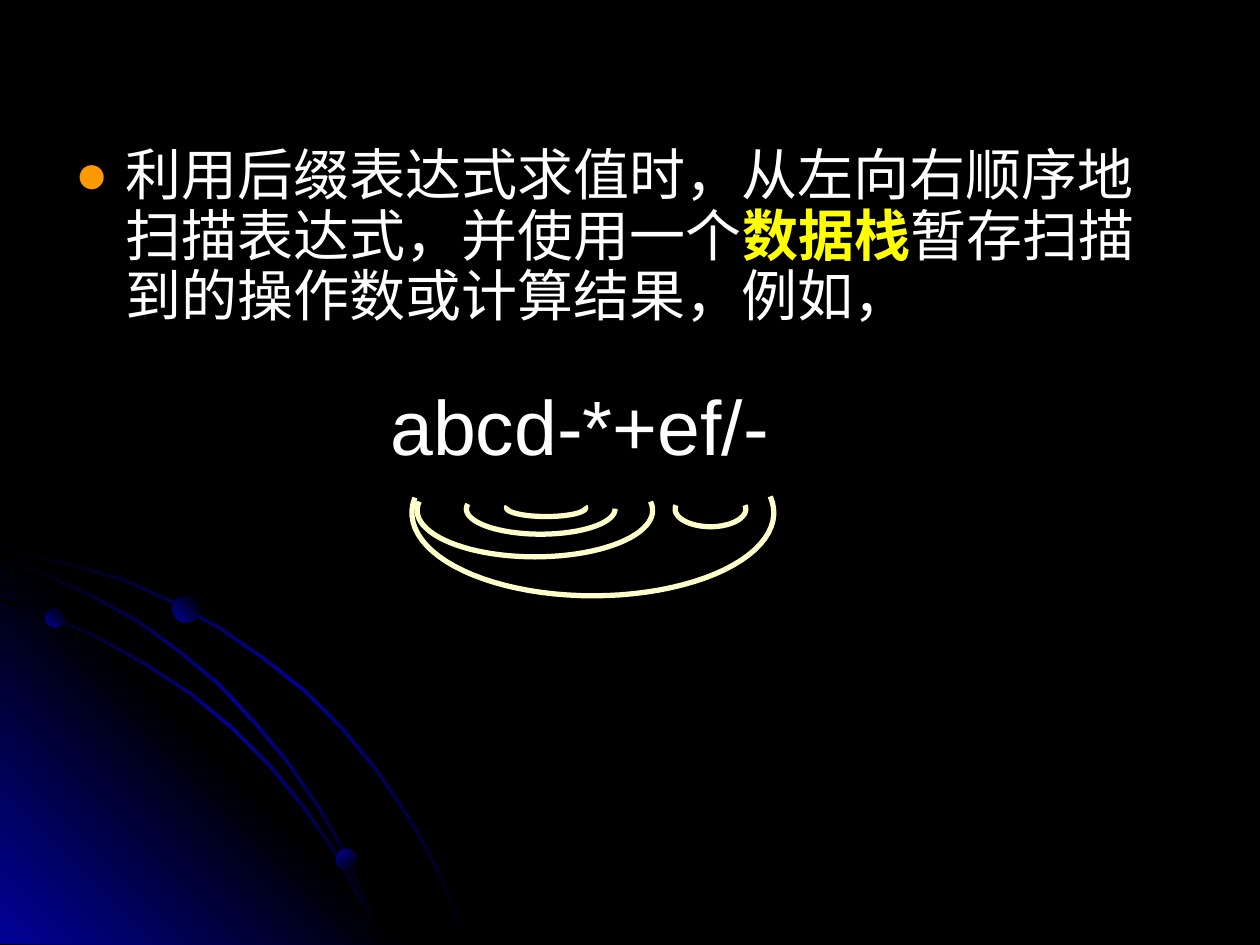
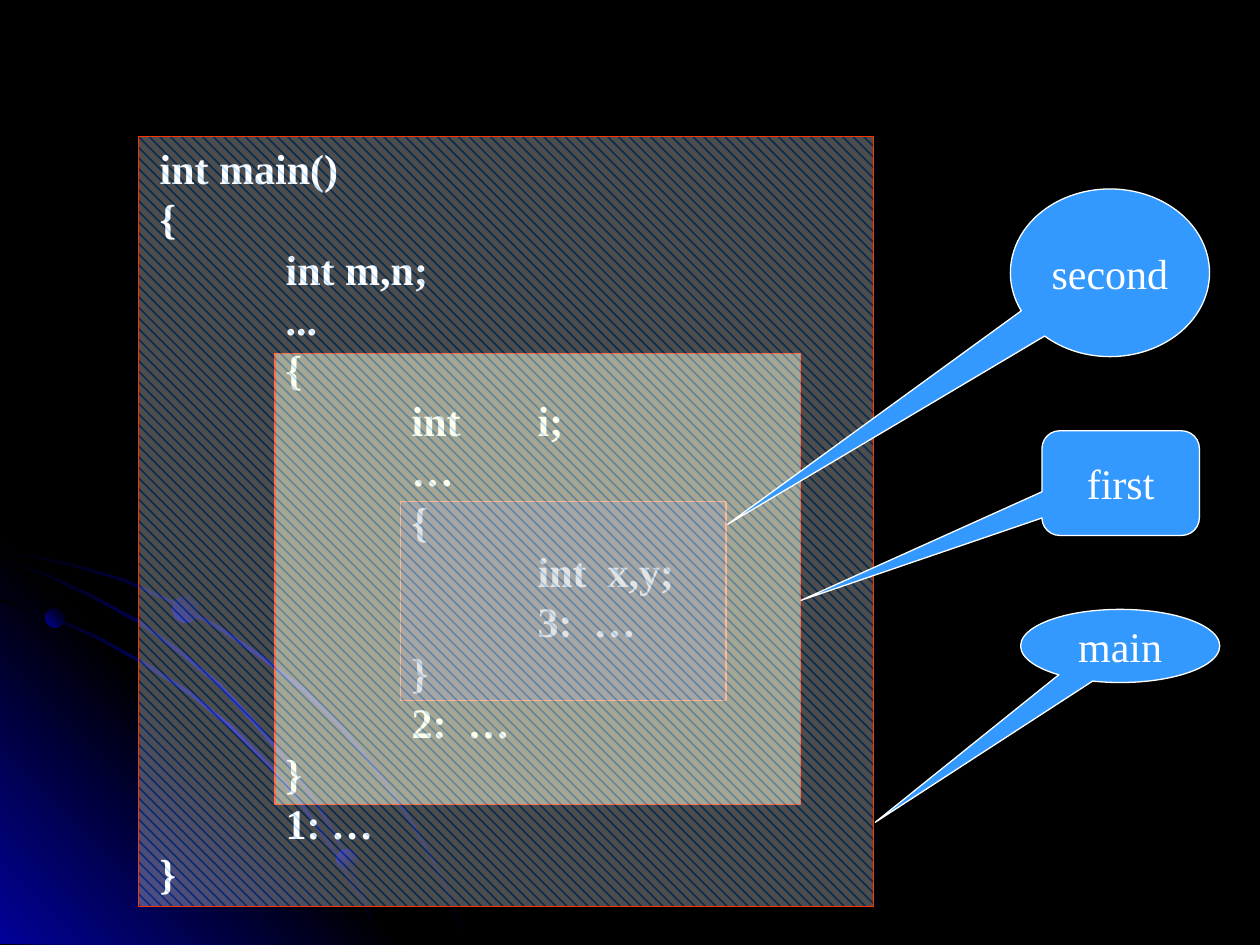
"""Build two slides on postfix evaluation and nested scopes."""
import math
from dataclasses import dataclass

import lxml.etree
import pptx
import pptx.dml.color
import pptx.enum.dml
import pptx.enum.shapes
import pptx.enum.text
import pptx.oxml.ns
import pptx.util

Pt = pptx.util.Pt
qn = pptx.oxml.ns.qn
Preset = pptx.enum.shapes.MSO_SHAPE
Align = pptx.enum.text.PP_ALIGN


@dataclass(frozen=True)
class Theme:
    """Colours, fonts and type sizes of the deck."""
    black: str = "000000"
    white: str = "FFFFFF"
    navy: str = "010199"
    sky: str = "3399FF"
    cream: str = "FFFFCC"
    red: str = "FF3300"
    yellow: str = "FFFF00"
    orange: str = "FF9900"
    sans: str = "Arial"
    serif: str = "Times New Roman"
    body_size: float = 32
    formula_size: float = 44
    code_size: float = 24
    thin_line: float = 0.75
    arc_line: float = 3


THEME = Theme()

RIBBON_EDGES = [
    [(0, 315.4), (20.2, 319), (40.3, 323.3), (69.8, 331.9), (97.2, 344.2),
     (124.6, 359.3), (149.8, 376.6), (173.5, 395.3), (195.1, 416.9),
     (214.6, 440.6), (232.6, 467.3), (242.6, 484.6), (252, 502.6),
     (259.2, 520.6), (266.4, 539.3)],
    [(0, 343.4), (28.1, 352.8), (55.4, 365), (82.8, 380.2), (108, 396.7),
     (131.8, 416.2), (153.4, 437.8), (172.8, 461.5), (190.8, 487.4),
     (205.2, 514.1), (211.7, 527), (216.7, 539.3)],
    [(0, 319.7), (25.9, 329), (53.3, 342), (78.5, 355.7), (102.2, 373),
     (124.6, 391.7), (145.4, 414), (163.4, 435.6), (181.4, 461.5),
     (192.2, 480.2), (201.6, 499.7), (210.2, 519.8), (216.7, 539.3)],
]
RIBBON_WIDTH = 1.1
CORNER = [(231.8, 539.5), (0, 539.5), (0, 307.4)]
BEADS = [(25.9, 347.8, 10.8, 315), (192.2, 485.3, 11.5, 45), (98.6, 340.6, 15.1, 315)]

OPERAND_ARCS = [
    dict(center=(338.8, 293), radii=(103.4, 47.5), left_tip=284.4, right_tip=283.7),
    dict(center=(312.1, 290.2), radii=(22.6, 5), left_tip=289.3, right_tip=289.3),
    dict(center=(309, 290.9), radii=(42.5, 14.4), left_tip=288, right_tip=290.7),
    dict(center=(305.7, 291.6), radii=(67.3, 26.6), left_tip=286.6, right_tip=286.6),
    dict(center=(406, 290.9), radii=(20.2, 10.1), left_tip=288.7, right_tip=288.7),
]

CODE_TABS = [72, 144, 216, 288]
CODE = """int main()
{
\tint m,n;
\t...
\t{
\t\tint \ti;
\t\t…
\t\t{
\t\t\tint  x,y;
\t\t\t3:  …
\t\t}
\t\t2:  …
\t}
\t1: …
}"""


def rgb(color):
    """Return the colour object for a hex string."""
    return pptx.dml.color.RGBColor.from_string(color)


def place(shape, left, top, width, height):
    """Move and size a shape in points."""
    shape.left, shape.top = Pt(left), Pt(top)
    shape.width, shape.height = Pt(width), Pt(height)


def set_line(shape, color=None, width=THEME.thin_line):
    """Outline a shape, or clear its outline, and drop its shadow."""
    shape.shadow.inherit = False
    if color is None:
        shape.line.fill.background()
    else:
        shape.line.color.rgb = rgb(color)
        shape.line.width = Pt(width)


def set_gradient(shape, colors, angle):
    """Fill with evenly spaced colours; the angle runs clockwise."""
    shape.fill.gradient()
    shape.fill.gradient_angle = 360 - angle
    stops = shape.element.spPr.find(qn("a:gradFill")).find(qn("a:gsLst"))
    for stop in list(stops):
        stops.remove(stop)
    for index, color in enumerate(colors):
        position = str(100000 * index // (len(colors) - 1))
        stop = lxml.etree.SubElement(stops, qn("a:gs"), pos=position)
        lxml.etree.SubElement(stop, qn("a:srgbClr"), val=color)
    set_line(shape)


def set_opacity(shape, percent):
    """Make every fill colour of a shape partly transparent."""
    for color in list(shape.element.spPr.iter(qn("a:srgbClr"))):
        lxml.etree.SubElement(color, qn("a:alpha"), val=str(percent * 1000))


def add_tabs(paragraph, positions):
    """Set left tab stops in points."""
    tabs = lxml.etree.SubElement(paragraph._p.get_or_add_pPr(), qn("a:tabLst"))
    for position in positions:
        lxml.etree.SubElement(tabs, qn("a:tab"), pos=str(Pt(position)), algn="l")


def write_text(shape, text, *, size, font, color=THEME.white, bold=False,
               align=Align.LEFT, spacing=1.0, wrap=True, highlight=None, tabs=()):
    """Write lines of text, with one optional highlighted phrase."""
    frame = shape.text_frame
    frame.word_wrap = wrap
    frame.auto_size = pptx.enum.text.MSO_AUTO_SIZE.NONE
    for index, line in enumerate(text.split("\n")):
        paragraph = frame.add_paragraph() if index else frame.paragraphs[0]
        if tabs:
            add_tabs(paragraph, tabs)
        paragraph.alignment = align
        paragraph.line_spacing = spacing
        paragraph.space_before = Pt(0)
        for part in line.partition(highlight) if highlight else [line]:
            if not part:
                continue
            run = paragraph.add_run()
            run.text = part
            marked = part == highlight
            run.font.name, run.font.size = font, Pt(size)
            run.font.bold = bold or marked
            run.font.color.rgb = rgb(THEME.yellow if marked else color)


def add_bullet(paragraph, color, indent):
    """Give a paragraph a round bullet and a hanging indent."""
    properties = paragraph._p.get_or_add_pPr()
    properties.set("marL", str(Pt(indent)))
    properties.set("indent", str(-Pt(indent)))
    bullet_color = lxml.etree.SubElement(properties, qn("a:buClr"))
    lxml.etree.SubElement(bullet_color, qn("a:srgbClr"), val=color)
    lxml.etree.SubElement(properties, qn("a:buFont"), typeface=THEME.sans)
    lxml.etree.SubElement(properties, qn("a:buChar"), char="●")


def add_outline(slide, points, close=True):
    """Draw a freeform through points."""
    (left, top), *others = [(Pt(x), Pt(y)) for x, y in points]
    builder = slide.shapes.build_freeform(left, top)
    builder.add_line_segments(others, close=close)
    return builder.convert_to_shape()


def add_preset(slide, preset, left, top, width, height):
    """Add a preset shape placed in points."""
    return slide.shapes.add_shape(preset, Pt(left), Pt(top), Pt(width), Pt(height))


def add_text_box(slide, left, top, width, height, text, **text_format):
    """Add a text box."""
    box = slide.shapes.add_textbox(Pt(left), Pt(top), Pt(width), Pt(height))
    write_text(box, text, **text_format)


def add_operand_arc(slide, center, radii, left_tip, right_tip, steps=48):
    """Draw the lower half of an ellipse between two tip heights."""
    start = math.asin((right_tip - center[1]) / radii[1])
    end = math.pi - math.asin((left_tip - center[1]) / radii[1])
    angles = [start + (end - start) * step / steps for step in range(steps + 1)]
    points = [(center[0] + radii[0] * math.cos(angle),
               center[1] + radii[1] * math.sin(angle)) for angle in angles]
    arc = add_outline(slide, points, close=False)
    arc.fill.background()
    set_line(arc, THEME.cream, THEME.arc_line)


def add_scope(slide, left, top, width, height, color, opacity, hatch=None):
    """Cover one program scope with a see-through rectangle."""
    scope = add_preset(slide, Preset.RECTANGLE, left, top, width, height)
    if hatch:
        scope.fill.patterned()
        scope.fill.pattern = pptx.enum.dml.MSO_PATTERN.DASHED_DOWNWARD_DIAGONAL
        scope.fill.fore_color.rgb = rgb(hatch)
        scope.fill.back_color.rgb = rgb(color)
    else:
        scope.fill.solid()
        scope.fill.fore_color.rgb = rgb(color)
    set_opacity(scope, opacity)
    set_line(scope, THEME.red)


def add_callout(slide, preset, left, top, width, height, pointer, text):
    """Add a callout whose pointer is relative to its size."""
    callout = add_preset(slide, preset, left, top, width, height)
    for index, value in enumerate(pointer):
        callout.adjustments[index] = value
    callout.fill.solid()
    callout.fill.fore_color.rgb = rgb(THEME.sky)
    set_line(callout, THEME.white)
    callout.text_frame.vertical_anchor = pptx.enum.text.MSO_ANCHOR.MIDDLE
    write_text(callout, text, size=THEME.code_size, font=THEME.serif,
               align=Align.CENTER, wrap=False)


def decorate_master(master, slide):
    """Draw the corner decoration on a slide and move it to the master."""
    master.background.fill.solid()
    master.background.fill.fore_color.rgb = rgb(THEME.black)
    corner = add_outline(slide, CORNER)
    set_gradient(corner, [THEME.navy, THEME.black, THEME.navy], 315)
    decorations = [corner]
    for edge in RIBBON_EDGES:
        far_edge = [(x + RIBBON_WIDTH, y - RIBBON_WIDTH) for x, y in reversed(edge)]
        ribbon = add_outline(slide, edge + far_edge)
        set_gradient(ribbon, [THEME.black, THEME.navy, THEME.black], 45)
        decorations.append(ribbon)
    decorations.insert(0, decorations.pop(1))
    for left, top, size, angle in BEADS:
        bead = add_preset(slide, Preset.OVAL, left, top, size, size)
        set_gradient(bead, [THEME.navy, THEME.black], angle)
        decorations.append(bead)
    for number, shape in enumerate(decorations, start=100):
        shape.element.nvSpPr.cNvPr.set("id", str(number))
        master.shapes.element.append(shape.element)


def fill_postfix_slide(slide):
    """Explain postfix evaluation with nested operand arcs."""
    title, body = slide.shapes.title, slide.placeholders[1]
    title.element.getparent().remove(title.element)
    place(body, 35.6, 80.6, 642.2, 112.3)
    add_bullet(body.text_frame.paragraphs[0], THEME.orange, 28.8)
    write_text(body, "利用后缀表达式求值时，从左向右顺序地扫描表达式，并使用一个数据栈"
               "暂存扫描到的操作数或计算结果，例如，", size=THEME.body_size,
               font=THEME.sans, spacing=0.9, highlight="数据栈")
    for arc in OPERAND_ARCS:
        add_operand_arc(slide, **arc)
    add_text_box(slide, 215.8, 212.7, 231.1, 59.8, "abcd-*+ef/-",
                 size=THEME.formula_size, font=THEME.sans, align=Align.CENTER, wrap=False)


def fill_scope_slide(slide):
    """Show nested scopes of a program with labels."""
    add_text_box(slide, 84.2, 77.8, 581.8, 438.5, CODE, size=THEME.code_size,
                 font=THEME.serif, bold=True, spacing=Pt(28.8), tabs=CODE_TABS)
    add_scope(slide, 229, 286.6, 185.8, 113.8, THEME.navy, 30)
    add_scope(slide, 157.2, 202, 300.2, 257.8, THEME.cream, 50)
    add_scope(slide, 79.2, 78.1, 419.8, 439.9, THEME.white, 30, hatch=THEME.sky)
    add_callout(slide, Preset.ROUNDED_RECTANGULAR_CALLOUT, 595.4, 246.2, 90, 59.8,
                (-2.03, 1.12, 0.17), "first")
    add_callout(slide, Preset.OVAL_CALLOUT, 583.2, 348.2, 113.8, 41.8,
                (-1.23, 2.41), "main")
    add_callout(slide, Preset.OVAL_CALLOUT, 577.4, 108, 113.8, 95.8,
                (-1.92, 1.5), "second")


def main():
    """Build and save the presentation."""
    presentation = pptx.Presentation()
    presentation.slide_width, presentation.slide_height = Pt(720), Pt(540)
    layouts = presentation.slide_layouts
    postfix_slide = presentation.slides.add_slide(layouts[1])
    decorate_master(presentation.slide_master, postfix_slide)
    fill_postfix_slide(postfix_slide)
    fill_scope_slide(presentation.slides.add_slide(layouts[6]))
    presentation.save("out.pptx")


if __name__ == "__main__":
    main()
